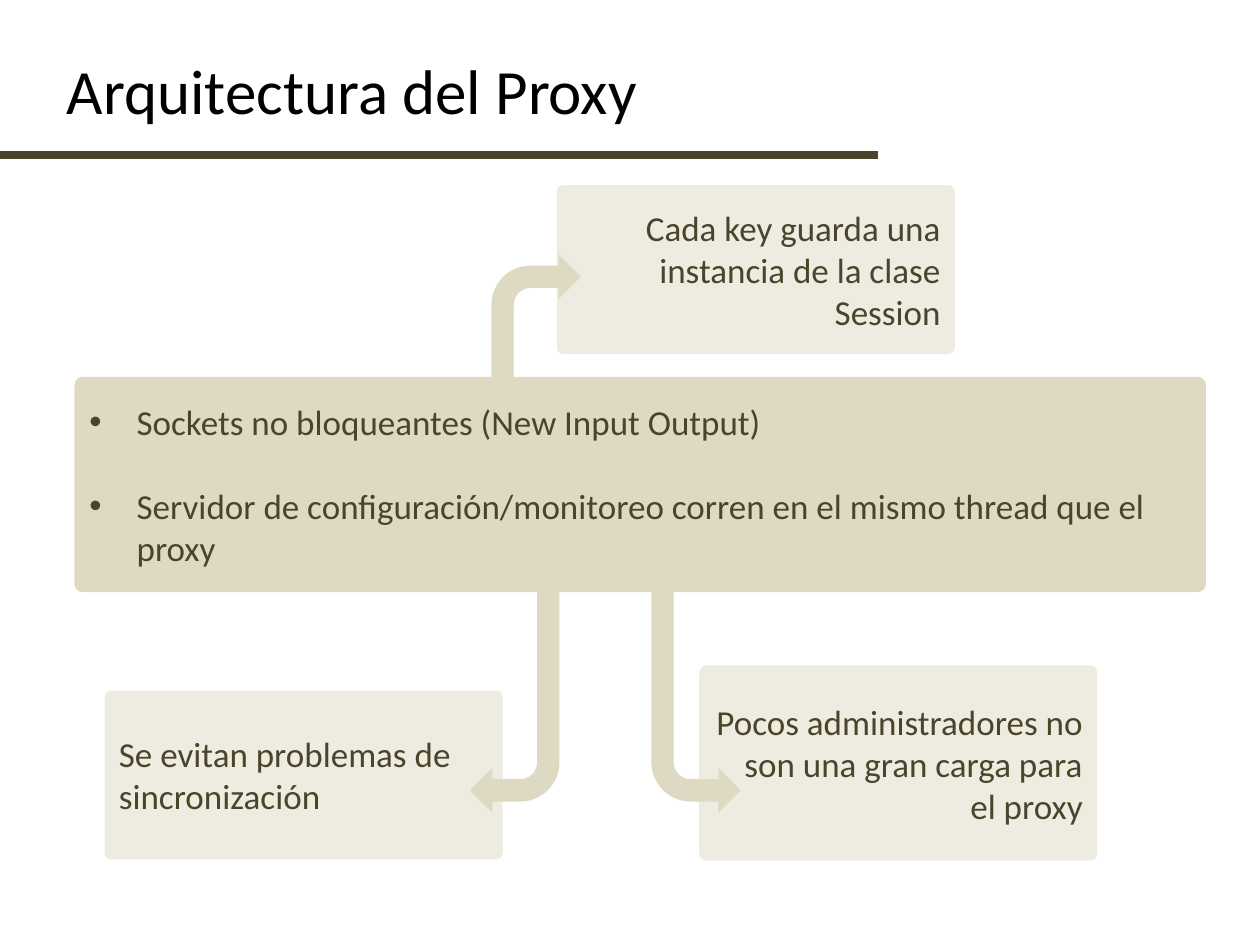
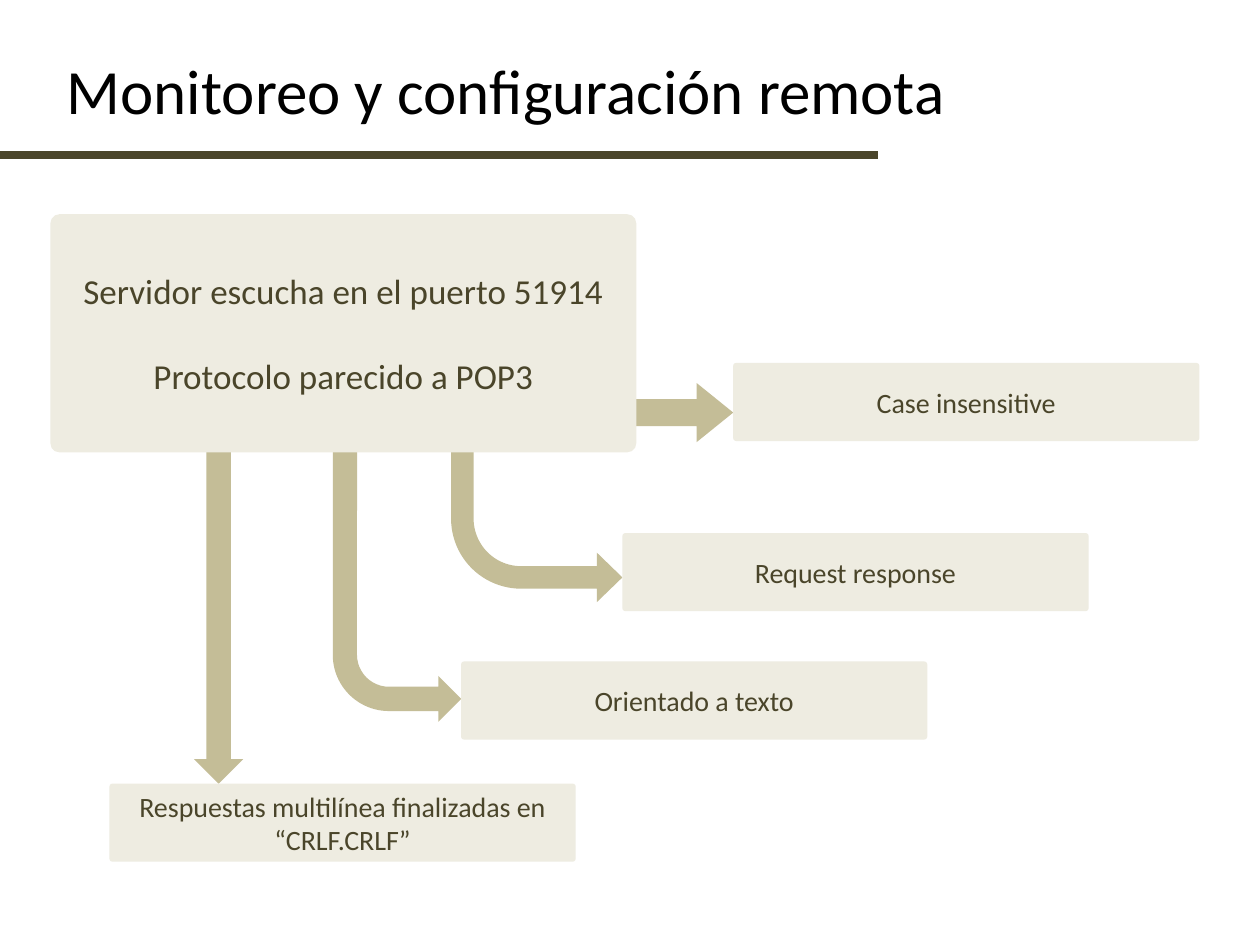
from lxml import etree
from pptx import Presentation
from pptx.dml.color import RGBColor
from pptx.enum import shapes as kinds, text as txt
from pptx.oxml.ns import qn
from pptx.util import Pt

# Shared style
FONT = "Calibri"
BLACK = RGBColor(0x00, 0x00, 0x00)
OLIVE = RGBColor(0x4A, 0x45, 0x2A)
PALE = RGBColor(0xEE, 0xEC, 0xE1)
SAND = RGBColor(0xDD, 0xD9, 0xC3)
KHAKI = RGBColor(0xC4, 0xBD, 0x97)
CORNER = 0.038
BLANK_LINE = 24.4
TITLE_ONLY, TITLE_AND_BODY = 5, 1
LEFT, CENTER, RIGHT = txt.PP_ALIGN.LEFT, txt.PP_ALIGN.CENTER, txt.PP_ALIGN.RIGHT
PRESET = kinds.MSO_SHAPE


def place(item, left, top, width, height):
    item.left, item.top = Pt(left), Pt(top)
    item.width, item.height = Pt(width), Pt(height)


def write(frame, lines, size, color=OLIVE, align=LEFT):
    """Write one paragraph per line, a line's height apart."""
    for i, line in enumerate(lines):
        paragraph = frame.paragraphs[0] if i == 0 else frame.add_paragraph()
        paragraph.alignment = align
        paragraph.space_before = Pt(BLANK_LINE if i else 0)
        run = paragraph.add_run()
        run.text = line
        run.font.name = FONT
        run.font.size = Pt(size)
        run.font.color.rgb = color


def paint(item, color):
    item.fill.solid()
    item.fill.fore_color.rgb = color
    item.line.fill.background()


def add_titled_slide(deck, layout, title, title_width):
    slide = deck.slides.add_slide(deck.slide_layouts[layout])
    heading = slide.shapes.title
    place(heading, 31, 25.9, title_width, 51.1)
    frame = heading.text_frame
    frame.word_wrap = False
    frame.auto_size = txt.MSO_AUTO_SIZE.SHAPE_TO_FIT_TEXT
    frame.vertical_anchor = txt.MSO_ANCHOR.TOP
    write(frame, [title], 36, BLACK)

    # Rule under the title
    rule = slide.shapes.add_connector(
        kinds.MSO_CONNECTOR.STRAIGHT, 0, Pt(88.6), Pt(501.8), Pt(88.6))
    rule.line.color.rgb = OLIVE
    rule.line.width = Pt(4.5)
    etree.SubElement(rule._element.spPr, qn("a:effectLst"))
    return slide


def add_shape(slide, preset, box, color, adjustments=()):
    shape = slide.shapes.add_shape(preset, *map(Pt, box))
    shape.shadow.inherit = False
    paint(shape, color)
    for i, value in enumerate(adjustments):
        shape.adjustments[i] = value
    return shape


def add_card(slide, box, lines, size=20, align=CENTER):
    card = add_shape(slide, PRESET.ROUNDED_RECTANGLE, box, PALE, [CORNER])
    card.text_frame.word_wrap = True
    card.text_frame.vertical_anchor = txt.MSO_ANCHOR.MIDDLE
    write(card.text_frame, lines, size, align=align)


def add_turned_arrow(slide, box, color, adjustments=(), to_right=True):
    """Bent arrow that goes down, then sideways."""
    arrow = add_shape(slide, PRESET.BENT_ARROW, box, color, adjustments)
    arrow.rotation = 180
    if to_right:
        arrow._element.spPr.find(qn("a:xfrm")).set("flipH", "1")


def add_bullet_panel(slide, box, lines):
    panel = slide.placeholders[1]
    place(panel, *box)
    # Rounded outline
    outline = etree.SubElement(panel._element.spPr, qn("a:prstGeom"), prst="roundRect")
    guides = etree.SubElement(outline, qn("a:avLst"))
    etree.SubElement(guides, qn("a:gd"), name="adj", fmla=f"val {round(CORNER * 100000)}")
    paint(panel, SAND)
    frame = panel.text_frame
    frame.word_wrap = True
    frame.auto_size = txt.MSO_AUTO_SIZE.NONE
    frame.vertical_anchor = txt.MSO_ANCHOR.MIDDLE
    write(frame, lines, 20)
    # Bullets with a hanging indent
    for paragraph in frame.paragraphs:
        props = paragraph._p.get_or_add_pPr()
        props.set("marL", str(Pt(27)))
        props.set("indent", str(-Pt(27)))
        etree.SubElement(props, qn("a:buFont"), typeface="Arial")
        etree.SubElement(props, qn("a:buChar"), char="•")


def build_architecture(deck):
    slide = add_titled_slide(deck, TITLE_AND_BODY, "Arquitectura del Proxy", 343.4)
    add_bullet_panel(slide, (42.5, 215.3, 646.6, 123.1), [
        "Sockets no bloqueantes (New Input Output)",
        "Servidor de configuración/monitoreo corren en el mismo thread que el proxy"])

    # Consequences around the panel
    consequences = [
        (59.8, 394.6, 96.5, LEFT, "Se evitan problemas de sincronización"),
        (399.6, 380.2, 111.6, RIGHT,
         "Pocos administradores no son una gran carga para el proxy"),
        (318.2, 105.8, 96.5, RIGHT, "Cada key guarda una instancia de la clase Session"),
    ]
    for left, top, height, align, words in consequences:
        add_card(slide, (left, top, 227.5, height), [words], align=align)

    # Arrows from the panel
    add_turned_arrow(slide, (268.6, 322.6, 51.1, 141.8), SAND, to_right=False)
    add_turned_arrow(slide, (372.2, 322.6, 51.1, 141.8), SAND)
    add_shape(slide, PRESET.BENT_ARROW, (280.8, 145.4, 51.1, 85), SAND)


def build_monitoring(deck):
    slide = add_titled_slide(deck, TITLE_ONLY, "Monitoreo y configuración remota", 521.3)
    features = [
        (419, 207.4, "Case insensitive"),
        (355.7, 304.6, "Request response"),
        (263.5, 378, "Orientado a texto"),
        (62.6, 447.8, "Respuestas multilínea finalizadas en “CRLF.CRLF”"),
    ]
    case, request, plain_text, multiline = features

    # Arrows from the server, each ending at its feature
    start = 252.7
    add_shape(slide, PRESET.RIGHT_ARROW, (342.7, 218.9, case[0] - 342.7, 33.8),
              KHAKI, [0.455, 0.619])
    add_turned_arrow(slide, (257.8, start, request[0] - 257.8, 91.4),
                     KHAKI, [0.141, 0.155, 0.16, 0.438])
    add_turned_arrow(slide, (190.1, start, plain_text[0] - 190.1, 159.8),
                     KHAKI, [0.189, 0.179, 0.178, 0.438])
    add_shape(slide, PRESET.DOWN_ARROW, (110.9, start, 28.1, multiline[1] - start), KHAKI)

    # Server and its features
    add_card(slide, (28.8, 122.4, 334.8, 136.1),
             ["Servidor escucha en el puerto 51914", "Protocolo parecido a POP3"])
    for left, top, words in features:
        add_card(slide, (left, top, 266.4, 44.6), [words], size=16)


def main():
    deck = Presentation()
    deck.slide_width, deck.slide_height = Pt(720), Pt(540)
    build_architecture(deck)
    build_monitoring(deck)
    deck.save("out.pptx")


if __name__ == "__main__":
    main()
